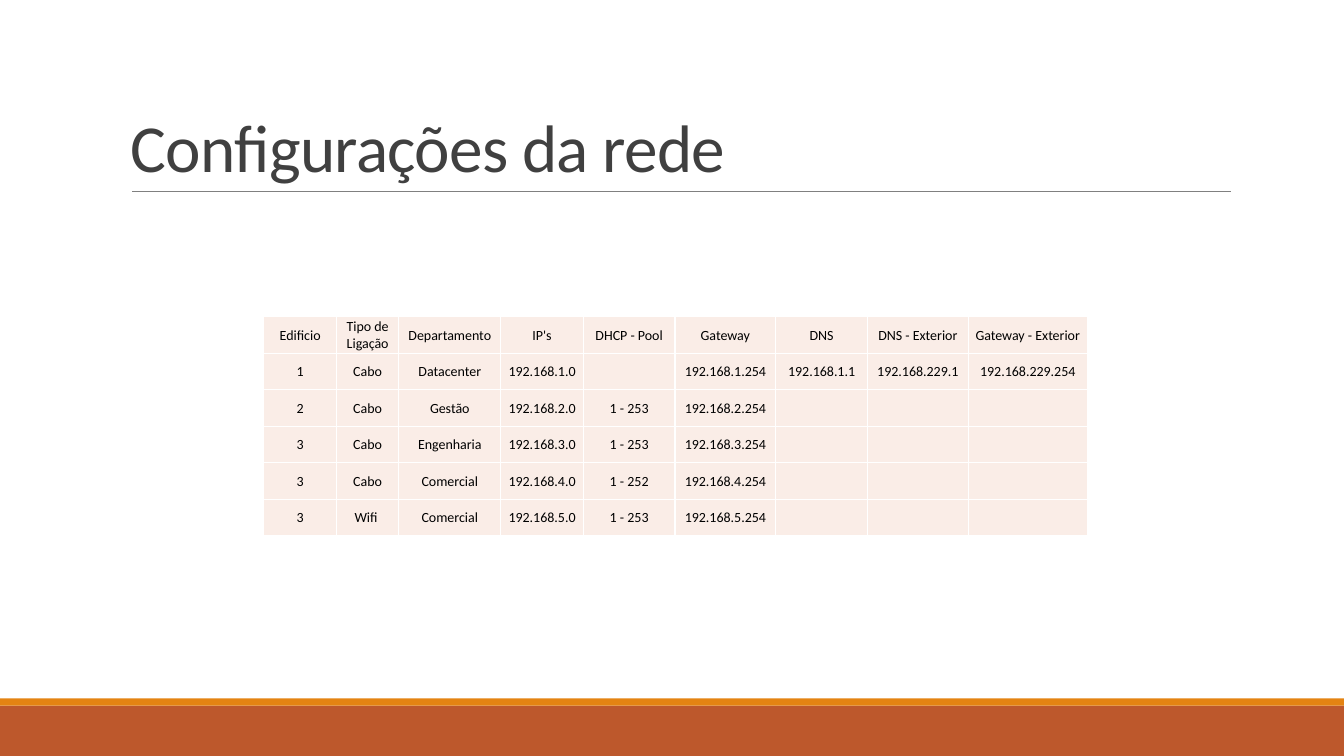
"""Build the slide with the network settings table."""
from lxml import etree
from pptx import Presentation
from pptx import util as u
from pptx.dml.color import RGBColor
from pptx.enum import shapes, text
from pptx.oxml import ns

WHITE = RGBColor(0xFF, 0xFF, 0xFF)
BLACK = RGBColor(0x00, 0x00, 0x00)
RUST = RGBColor(0xBD, 0x58, 0x2C)
ORANGE = RGBColor(0xE4, 0x83, 0x12)
GREY = RGBColor(0x80, 0x80, 0x80)
CHARCOAL = RGBColor(0x40, 0x40, 0x40)
BLUSH = RGBColor(0xFA, 0xED, 0xE7)
FONT = "Calibri"

COLUMN_WIDTHS = [1.83, 1.57, 2.57, 2.08, 2.31, 2.54, 2.31, 2.54, 3]
ROW_HEIGHT = 0.92
ROWS = [
    ["Edificio", "Tipo de Ligação", "Departamento", "IP's", "DHCP - Pool",
     "Gateway", "DNS", "DNS - Exterior", "Gateway - Exterior"],
    ["1", "Cabo", "Datacenter", "192.168.1.0", "", "192.168.1.254",
     "192.168.1.1", "192.168.229.1", "192.168.229.254"],
    ["2", "Cabo", "Gestão", "192.168.2.0", "1 - 253", "192.168.2.254", "", "", ""],
    ["3", "Cabo", "Engenharia", "192.168.3.0", "1 - 253", "192.168.3.254", "", "", ""],
    ["3", "Cabo", "Comercial", "192.168.4.0", "1 - 252", "192.168.4.254", "", "", ""],
    ["3", "Wifi ", "Comercial", "192.168.5.0", "1 - 253", "192.168.5.254", "", "", ""],
]


def style_font(font, size, color):
    font.name = FONT
    font.size = u.Pt(size)
    font.color.rgb = color


def add_borders(cell, color, width):
    properties = cell._tc.get_or_add_tcPr()
    for side in ("a:lnL", "a:lnR", "a:lnT", "a:lnB"):
        line = etree.SubElement(properties, ns.qn(side), w=str(u.Pt(width)))
        fill = etree.SubElement(line, ns.qn("a:solidFill"))
        etree.SubElement(fill, ns.qn("a:srgbClr"), val=str(color))


deck = Presentation()
deck.slide_width = u.Cm(33.87)
deck.slide_height = u.Cm(19.05)
page = deck.slides.add_slide(deck.slide_layouts[6])

for top, height, color in [(17.78, 1.27, RUST), (17.6, 0.18, ORANGE)]:
    band = page.shapes.add_shape(
        shapes.MSO_SHAPE.RECTANGLE, 0, u.Cm(top), deck.slide_width, u.Cm(height))
    band.shadow.inherit = False
    band.fill.solid()
    band.fill.fore_color.rgb = color
    band.line.fill.background()

rule = page.shapes.add_connector(
    shapes.MSO_CONNECTOR.STRAIGHT, u.Cm(3.33), u.Cm(4.82), u.Cm(31.01), u.Cm(4.82))
rule.line.color.rgb = GREY
rule.line.width = u.Pt(0.5)
etree.SubElement(rule._element.spPr, ns.qn("a:effectLst"))

box = page.shapes.add_textbox(u.Cm(3.05), u.Cm(0.79), u.Cm(27.94), u.Cm(4.04))
box.text_frame.word_wrap = True
box.text_frame.vertical_anchor = text.MSO_ANCHOR.BOTTOM
box.text_frame.text = "Configurações da rede"
para = box.text_frame.paragraphs[0]
para.line_spacing = 0.85
span = para.runs[0]
style_font(span.font, 48, CHARCOAL)
span._r.get_or_add_rPr().set("spc", "-50")

table = page.shapes.add_table(
    len(ROWS), len(COLUMN_WIDTHS), u.Cm(6.65), u.Cm(7.98),
    u.Cm(sum(COLUMN_WIDTHS)), u.Cm(ROW_HEIGHT * len(ROWS))).table
for column, width in zip(table.columns, COLUMN_WIDTHS):
    column.width = u.Cm(width)
for row, values in zip(table.rows, ROWS):
    row.height = u.Cm(ROW_HEIGHT)
    for cell, value in zip(row.cells, values):
        add_borders(cell, WHITE, 1)
        cell.fill.solid()
        cell.fill.fore_color.rgb = BLUSH
        cell.vertical_anchor = text.MSO_ANCHOR.MIDDLE
        cell.margin_left = cell.margin_right = cell.margin_top = u.Cm(0.02)
        cell.margin_bottom = 0
        cell.text_frame.text = value
        para = cell.text_frame.paragraphs[0]
        para.alignment = text.PP_ALIGN.CENTER
        for span in para.runs:
            style_font(span.font, 10, BLACK)
            span.font.bold = False

deck.save("out.pptx")
